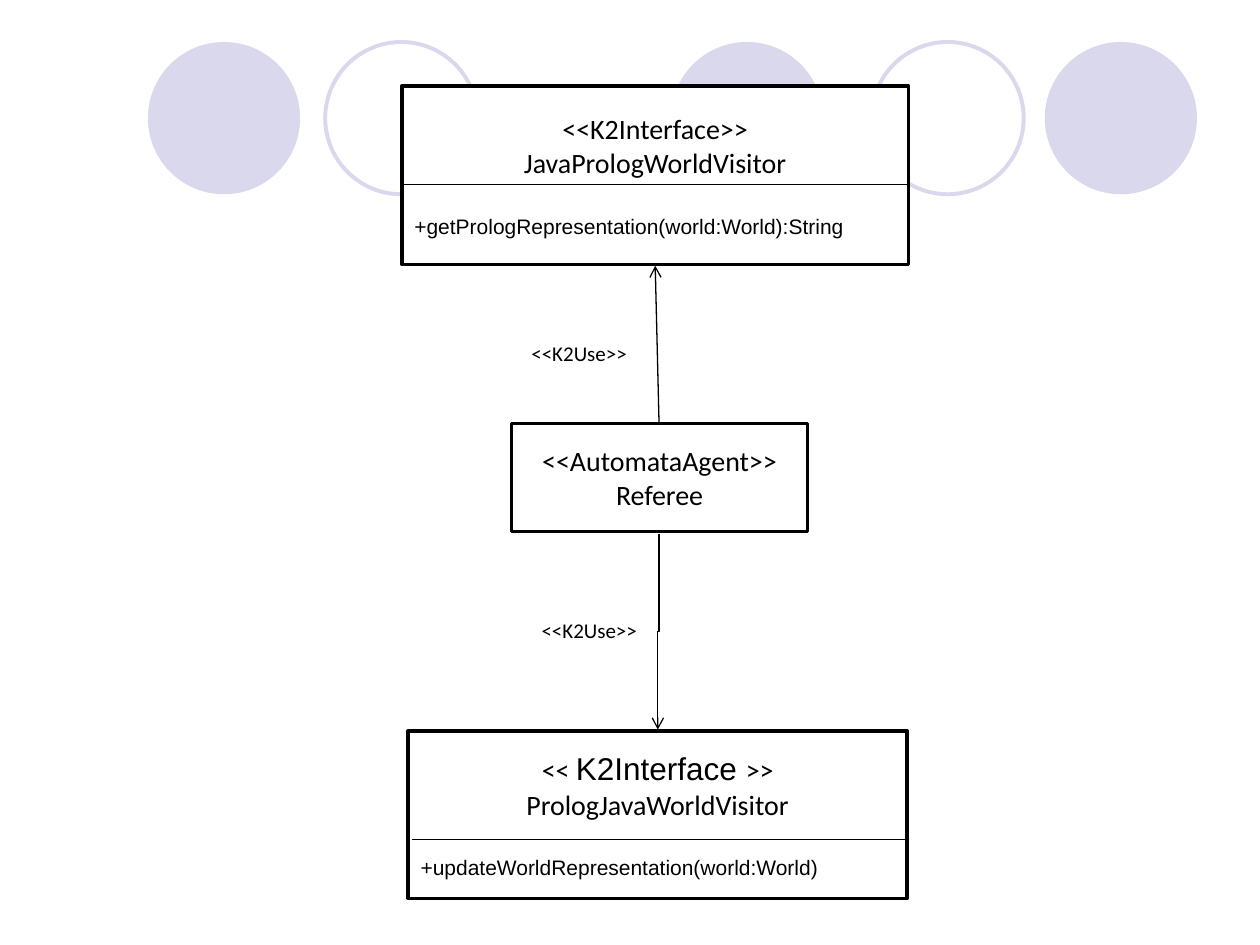
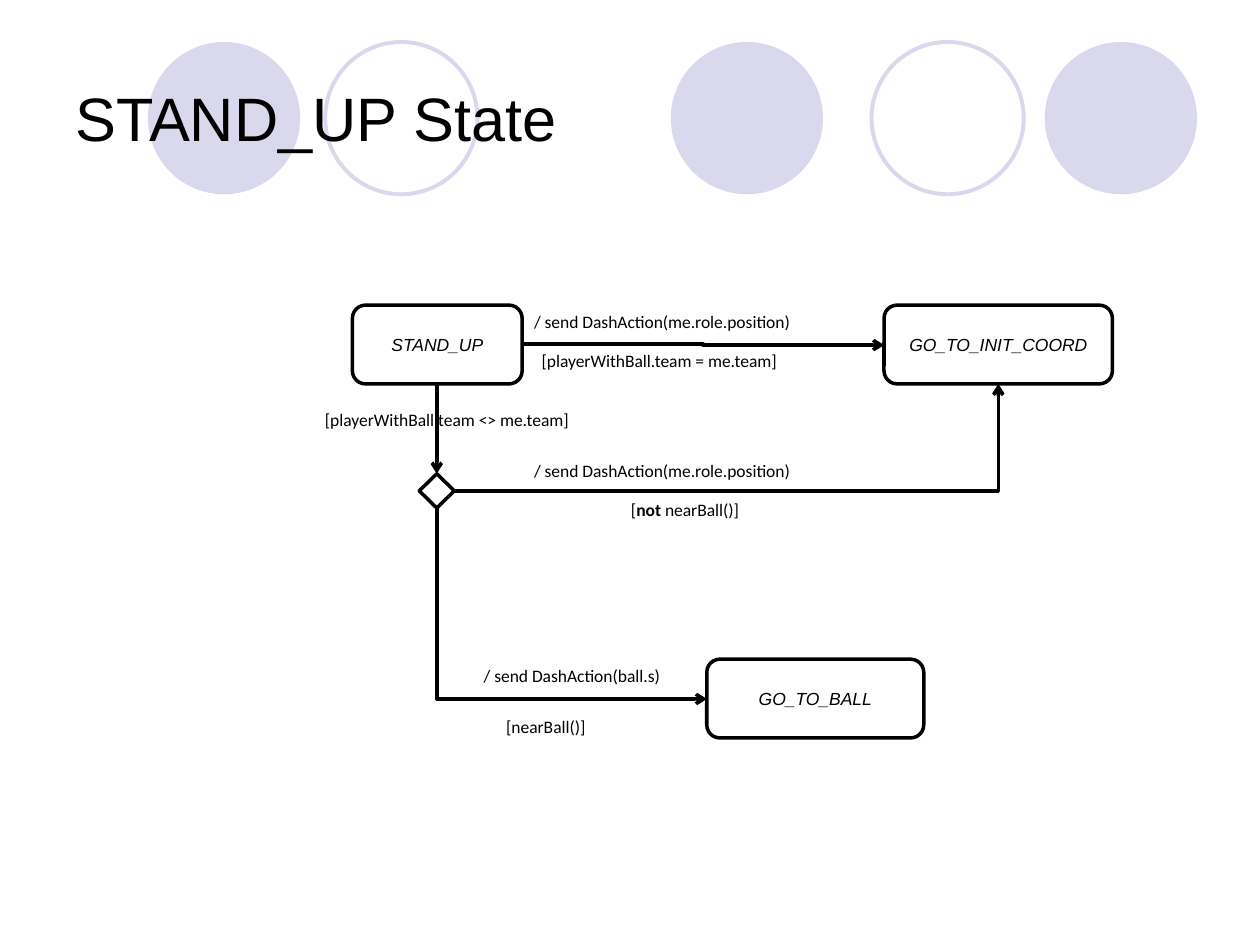
"""Build two robot football slides: a class diagram and a state diagram."""
from dataclasses import dataclass

from lxml.etree import SubElement
from pptx import Presentation
from pptx.dml.color import RGBColor
from pptx.enum.shapes import MSO_CONNECTOR as Link, MSO_SHAPE as Preset
from pptx.enum.text import MSO_ANCHOR as Anchor, PP_ALIGN as Align
from pptx.oxml.ns import qn
from pptx.shapes.autoshape import Shape
from pptx.slide import Slide
from pptx.text.text import TextFrame
from pptx.util import Pt

COLOURS = {"ink": "000000", "paper": "FFFFFF", "circle": "D9D8EC"}
STYLES = {
    "title": {"name": "Arial", "size": Pt(35)},
    "class": {"name": "Calibri", "size": Pt(16)},
    "class large": {"name": "Arial", "size": Pt(18)},
    "member": {"name": "Arial", "size": Pt(12)},
    "use": {"name": "Calibri", "size": Pt(12)},
    "state": {"name": "Arial", "size": Pt(10), "italic": True},
    "guard": {"name": "Calibri", "size": Pt(10)},
    "guard bold": {"name": "Calibri", "size": Pt(10), "bold": True},
}
CIRCLE_TOP, CIRCLE_SIZE = 24, 87
CIRCLES = [(383.3, True), (597, True), (84.5, True), (498, False), (185.8, False)]
MEMBER_GAP = 19.5


@dataclass(frozen=True)
class Run:
    text: str
    style: str


@dataclass(frozen=True)
class Paragraph:
    runs: tuple[Run, ...]
    align: Align = Align.CENTER
    space_before: float = 0


@dataclass(frozen=True)
class Box:
    left: float
    top: float
    width: float
    height: float
    paragraphs: tuple[Paragraph, ...] = ()
    preset: Preset = Preset.RECTANGLE


@dataclass(frozen=True)
class Label:
    left: float
    top: float
    width: float
    runs: tuple[Run, ...]
    height: float = 19.4


@dataclass(frozen=True)
class Connection:
    start: tuple[float, float]
    end: tuple[float, float]
    weight: float
    preset: str = "line"
    rotation: int = 0
    arrow: bool = True


def line_of(text: str, style: str) -> Paragraph:
    return Paragraph((Run(text, style),))


def member(text: str) -> Paragraph:
    return Paragraph((Run(text, "member"),), Align.LEFT, MEMBER_GAP)


def state(left: float, top: float, width: float, name: str) -> Box:
    return Box(left, top, width, 45, (line_of(name, "state"),), Preset.ROUNDED_RECTANGLE)


def guard(left: float, top: float, width: float, text: str) -> Label:
    return Label(left, top, width, (Run(text, "guard"),))


def use_label(left: float, top: float) -> Label:
    return Label(left, top, 69.1, (Run("<<K2Use>>", "use"),), 21.6)


CLASSES = [
    Box(229.7, 49, 289.4, 102.2, (
        line_of("<<K2Interface>>", "class"),
        line_of("JavaPrologWorldVisitor", "class"),
        member("+getPrologRepresentation(world:World):String"))),
    Box(292.3, 241.9, 169.2, 61.9, (
        line_of("<<AutomataAgent>>", "class"),
        line_of("Referee", "class"))),
    Box(233.3, 417.6, 285.1, 95.8, (
        Paragraph((Run("<< ", "class"), Run("K2Interface ", "class large"), Run(">>", "class"))),
        line_of("PrologJavaWorldVisitor", "class"),
        member("+updateWorldRepresentation(world:World)"))),
]
CLASS_LINKS = [
    Connection((376.6, 241.2), (374.4, 151.9), 0.75),
    Connection((376.6, 305), (375.9, 416.9), 0.75, "bentConnector3", 90),
    Connection((235.4, 479.7), (518.4, 479.7), 0.75, arrow=False),
    Connection((229.7, 105.6), (518.8, 105.6), 0.75, arrow=False),
]
USE_LABELS = [use_label(296.6, 190.8), use_label(302.4, 349.2)]

STATES = [
    state(201.4, 174.4, 97, "STAND_UP"),
    state(403.9, 376.7, 124, "GO_TO_BALL"),
    state(505.2, 174.4, 130.5, "GO_TO_INIT_COORD"),
    Box(239.6, 270.7, 20, 19.6, preset=Preset.DIAMOND),
]
TRANSITIONS = [
    Connection((249.6, 219.4), (249.6, 270.7), 2, "bentConnector3", 90),
    Connection((249.6, 290.3), (403.9, 399.4), 2, "bentConnector2", 270),
    Connection((298.4, 196.7), (505.2, 197.2), 2, "bentConnector3"),
    Connection((259.6, 280.5), (570.5, 219.4), 2, "bentConnector2"),
]
GUARDS = [
    guard(269.3, 376.6, 115.2, "/ send DashAction(ball.s)"),
    guard(282.2, 405.4, 59.8, "[nearBall()]"),
    Label(353.5, 281.5, 76.3, (
        Run("[", "guard"), Run("not ", "guard bold"), Run("nearBall()]", "guard"))),
    guard(178.6, 230.4, 154.1, "[playerWithBall.team <> me.team]"),
    guard(302.4, 196.6, 149.8, "[playerWithBall.team = me.team]"),
    guard(298.1, 174.2, 160.6, "/ send DashAction(me.role.position)"),
    guard(298.1, 259.2, 160.6, "/ send DashAction(me.role.position)"),
]


def colour(name: str) -> RGBColor:
    return RGBColor.from_string(COLOURS[name])


def write(frame: TextFrame, paragraphs: tuple[Paragraph, ...]) -> None:
    for index, content in enumerate(paragraphs):
        paragraph = frame.add_paragraph() if index else frame.paragraphs[0]
        paragraph.alignment = content.align
        paragraph.space_before = Pt(content.space_before)
        for part in content.runs:
            run = paragraph.add_run()
            run.text = part.text
            run.font.color.rgb = colour("ink")
            for attribute, value in STYLES[part.style].items():
                setattr(run.font, attribute, value)


def add_outlined(slide: Slide, box: Box, line: str, weight: float, fill: str = "") -> Shape:
    shape = slide.shapes.add_shape(
        box.preset, Pt(box.left), Pt(box.top), Pt(box.width), Pt(box.height))
    shape.shadow.inherit = False
    if fill:
        shape.fill.solid()
        shape.fill.fore_color.rgb = colour(fill)
    else:
        shape.fill.background()
    if weight:
        shape.line.color.rgb = colour(line)
        shape.line.width = Pt(weight)
    else:
        shape.line.fill.background()
    return shape


def add_box(slide: Slide, box: Box) -> None:
    shape = add_outlined(slide, box, "ink", 2, "paper")
    shape.text_frame.vertical_anchor = Anchor.MIDDLE
    write(shape.text_frame, box.paragraphs)


def add_label(slide: Slide, label: Label) -> None:
    shape = slide.shapes.add_textbox(
        Pt(label.left), Pt(label.top), Pt(label.width), Pt(label.height))
    shape.text_frame.word_wrap = False
    write(shape.text_frame, (Paragraph(label.runs, Align.LEFT),))


def add_title(slide: Slide, text: str) -> None:
    shape = slide.shapes.add_textbox(Pt(36), Pt(21.6), Pt(648), Pt(90))
    shape.text_frame.word_wrap = True
    shape.text_frame.vertical_anchor = Anchor.MIDDLE
    write(shape.text_frame, (Paragraph((Run(text, "title"),), Align.LEFT),))


def add_connection(slide: Slide, connection: Connection) -> None:
    (x1, y1), (x2, y2) = connection.start, connection.end
    centre_x, centre_y = (x1 + x2) / 2, (y1 + y2) / 2
    half_x, half_y = (x2 - x1) / 2, (y2 - y1) / 2
    turned = {0: (half_x, half_y), 90: (half_y, -half_x), 270: (-half_y, half_x)}
    half_x, half_y = turned[connection.rotation]
    connector = slide.shapes.add_connector(
        Link.STRAIGHT, Pt(centre_x - half_x), Pt(centre_y - half_y),
        Pt(centre_x + half_x), Pt(centre_y + half_y))
    connector.line.color.rgb = colour("ink")
    connector.line.width = Pt(connection.weight)
    properties = connector.element.spPr
    properties.find(qn("a:prstGeom")).set("prst", connection.preset)
    if connection.rotation:
        properties.find(qn("a:xfrm")).set("rot", str(connection.rotation * 60000))
    if connection.arrow:
        SubElement(properties.find(qn("a:ln")), qn("a:tailEnd"), type="arrow")
    SubElement(properties, qn("a:effectLst"))


def add_slide(presentation: Presentation) -> Slide:
    slide = presentation.slides.add_slide(presentation.slide_layouts[6])
    slide.background.fill.solid()
    slide.background.fill.fore_color.rgb = colour("paper")
    for left, filled in CIRCLES:
        circle = Box(left, CIRCLE_TOP, CIRCLE_SIZE, CIRCLE_SIZE, preset=Preset.OVAL)
        add_outlined(slide, circle, "circle", 0 if filled else 2.25, "circle" if filled else "")
    return slide


def add_diagram(slide: Slide, boxes: list[Box], connections: list[Connection],
                labels: list[Label]) -> None:
    for box in boxes:
        add_box(slide, box)
    for connection in connections:
        add_connection(slide, connection)
    for label in labels:
        add_label(slide, label)


def main() -> None:
    presentation = Presentation()
    presentation.slide_width, presentation.slide_height = Pt(720), Pt(540)
    add_diagram(add_slide(presentation), CLASSES, CLASS_LINKS, USE_LABELS)
    state_slide = add_slide(presentation)
    add_title(state_slide, "STAND_UP State")
    add_diagram(state_slide, STATES, TRANSITIONS, GUARDS)
    presentation.save("out.pptx")


if __name__ == "__main__":
    main()
